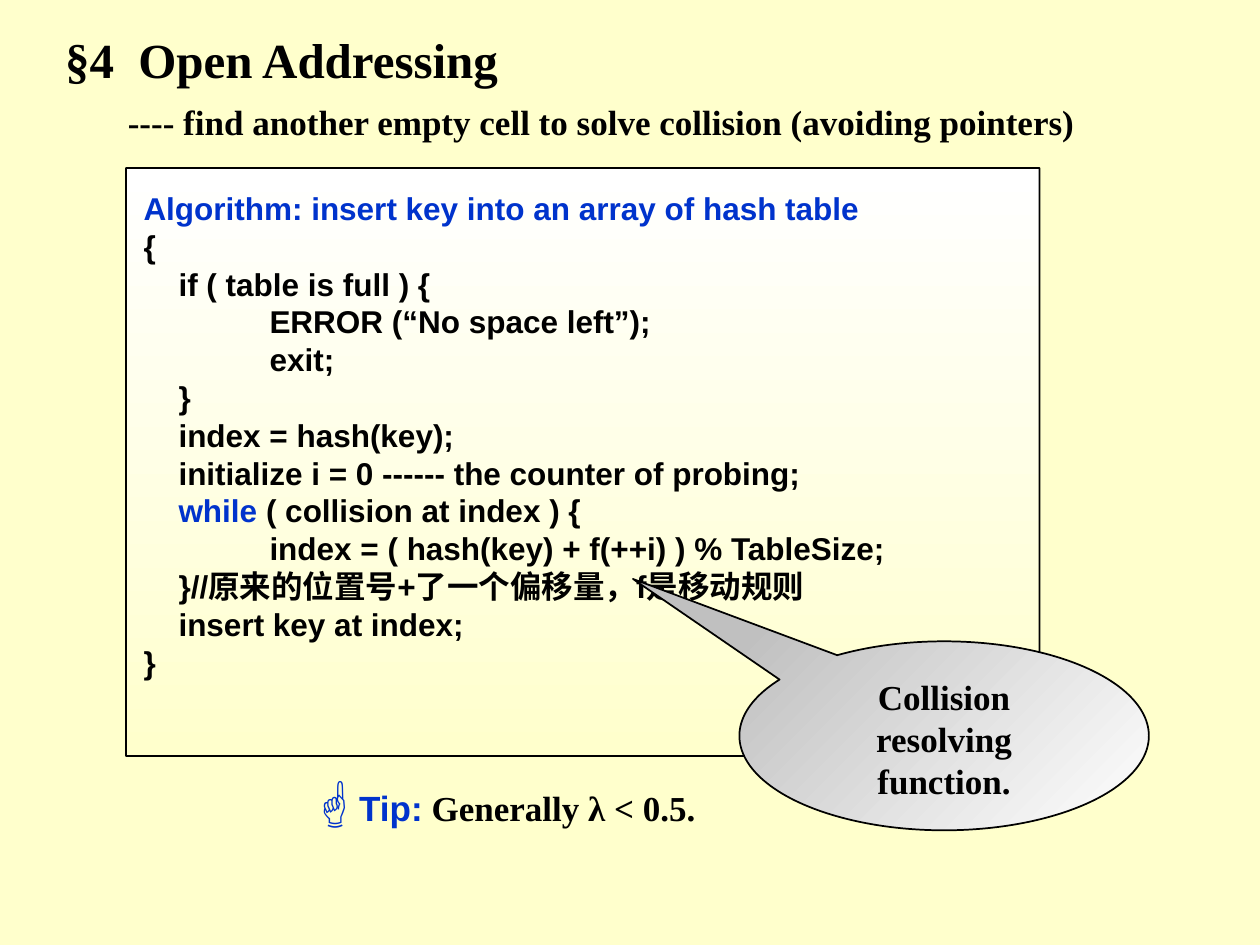
from dataclasses import dataclass

from lxml.etree import SubElement
from pptx import Presentation
from pptx.dml.color import RGBColor
from pptx.enum.shapes import MSO_SHAPE as Shape
from pptx.enum.text import MSO_ANCHOR as Anchor, PP_ALIGN as Align
from pptx.oxml.ns import qn
from pptx.util import Pt


@dataclass(frozen=True)
class Theme:
    background: str = "FFFFCC"
    ink: str = "000000"
    accent: str = "0033CC"
    white: str = "FFFFFF"
    silver: str = "C0C0C0"
    serif: str = "Times New Roman"
    sans: str = "Arial"
    title_size: int = 28
    body_size: int = 20
    code_size: int = 18
    hand_size: int = 32


@dataclass(frozen=True)
class Box:
    left: float
    top: float
    width: float
    height: float

    def lengths(self) -> tuple:
        return Pt(self.left), Pt(self.top), Pt(self.width), Pt(self.height)


@dataclass(frozen=True)
class CodeLine:
    text: str
    indent: int = 0
    keyword: str = ""


THEME = Theme()
INDENTS = (0, 20, 72)
CODE = (
    CodeLine("", keyword="Algorithm: insert key into an array of hash table"),
    CodeLine("{"),
    CodeLine("if ( table is full ) {", 1),
    CodeLine("ERROR (“No space left”);", 2),
    CodeLine("exit;", 2),
    CodeLine("}", 1),
    CodeLine("index = hash(key);", 1),
    CodeLine("initialize i = 0 ------ the counter of probing;", 1),
    CodeLine(" ( collision at index ) {", 1, "while"),
    CodeLine("index = ( hash(key) + f(++i) ) % TableSize;", 2),
    CodeLine("}//原来的位置号+了一个偏移量，f是移动规则", 1),
    CodeLine("insert key at index;", 1),
    CodeLine("}"),
)


def set_font(font, size: int, name: str = THEME.serif, color: str = THEME.ink) -> None:
    font.size, font.name, font.bold = Pt(size), name, True
    font.color.rgb = RGBColor.from_string(color)


def set_indent(para, left: float, first: float = 0) -> None:
    properties = para._p.get_or_add_pPr()
    properties.set("marL", str(Pt(left)))
    properties.set("indent", str(Pt(first)))


def set_adjustments(shape, values: dict) -> None:
    """Write the guides as XML, since python-pptx lists none for the folded corner."""
    guides = shape._element.spPr.find(qn("a:prstGeom")).find(qn("a:avLst"))
    for guide in list(guides):
        guides.remove(guide)
    for name, value in values.items():
        SubElement(guides, qn("a:gd"), name=name, fmla=f"val {round(value * 100000)}")


def add_text_box(slide, box: Box):
    frame = slide.shapes.add_textbox(*box.lengths()).text_frame
    frame.word_wrap = True
    return frame.paragraphs[0]


def add_gradient_shape(slide, kind, box: Box, adjustments: dict,
                       stops: tuple, angle: int):
    """Add a black-outlined shape with a two-colour gradient; angle is counter-clockwise."""
    shape = slide.shapes.add_shape(kind, *box.lengths())
    shape.shadow.inherit = False
    set_adjustments(shape, adjustments)
    shape.fill.gradient()
    shape.fill.gradient_angle = angle
    for stop, position, color in zip(shape.fill.gradient_stops, (0, 1), stops):
        stop.position = position
        stop.color.rgb = RGBColor.from_string(color)
    shape.line.color.rgb = RGBColor.from_string(THEME.ink)
    shape.line.width = Pt(1)
    shape.text_frame.word_wrap = True
    shape.text_frame.vertical_anchor = Anchor.TOP
    return shape.text_frame


def add_title(slide) -> None:
    title = slide.shapes.title
    title.left, title.top, title.width, title.height = Box(30, 13, 324, 41).lengths()
    title.text_frame.text = "§4  Open Addressing"
    title.text_frame.vertical_anchor = Anchor.TOP
    para = title.text_frame.paragraphs[0]
    para.alignment = Align.LEFT
    set_font(para.font, THEME.title_size)


def add_subtitle(slide) -> None:
    para = add_text_box(slide, Box(66, 54, 582, 31))
    para.text = "---- find another empty cell to solve collision (avoiding pointers)"
    set_font(para.font, THEME.body_size)


def add_code(slide) -> None:
    frame = add_gradient_shape(slide, Shape.FOLDED_CORNER, Box(72, 96, 522, 336),
                               {"adj": 0.11}, (THEME.white, THEME.background), 270)
    frame.margin_left, frame.margin_top = Pt(10), Pt(12)
    for number, line in enumerate(CODE):
        para = frame.add_paragraph() if number else frame.paragraphs[0]
        para.alignment = Align.LEFT
        set_font(para.font, THEME.code_size, THEME.sans)
        set_indent(para, INDENTS[line.indent])
        for text, color in ((line.keyword, THEME.accent), (line.text, THEME.ink)):
            if text:
                span = para.add_run()
                span.text = text
                set_font(span.font, THEME.code_size, THEME.sans, color)


def add_callout(slide) -> None:
    frame = add_gradient_shape(slide, Shape.OVAL_CALLOUT, Box(422.5, 366.5, 234, 108),
                               {"adj1": -0.76, "adj2": -0.83},
                               (THEME.silver, THEME.white), 315)
    para = frame.paragraphs[0]
    para.text = "Collision resolving function."
    para.alignment = Align.CENTER
    set_font(para.font, THEME.body_size)


def add_tip(slide) -> None:
    para = add_text_box(slide, Box(168, 434, 264, 45))
    set_indent(para, 60, -60)
    for text, size, name, color in (
        ("☝", THEME.hand_size, THEME.serif, THEME.accent),
        ("Tip:", THEME.body_size, THEME.sans, THEME.accent),
        (" Generally λ < 0.5.", THEME.body_size, THEME.serif, THEME.ink),
    ):
        span = para.add_run()
        span.text = text
        set_font(span.font, size, name, color)


def main() -> None:
    deck = Presentation()
    deck.slide_width, deck.slide_height = Pt(720), Pt(540)
    slide = deck.slides.add_slide(deck.slide_layouts.get_by_name("Title Only"))
    slide.background.fill.solid()
    slide.background.fill.fore_color.rgb = RGBColor.from_string(THEME.background)
    for add_part in (add_title, add_subtitle, add_code, add_callout, add_tip):
        add_part(slide)
    deck.save("out.pptx")


if __name__ == "__main__":
    main()
